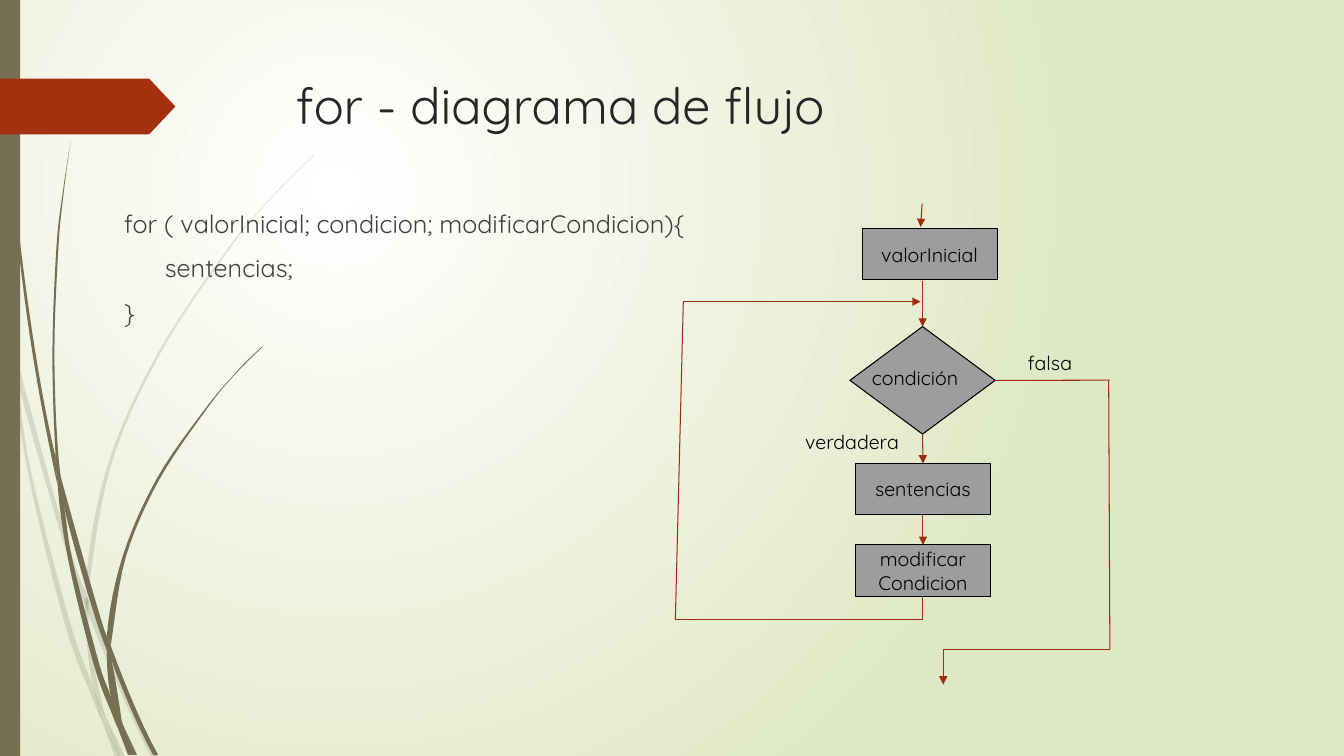
from dataclasses import dataclass

from lxml.etree import SubElement
from pptx import Presentation
from pptx.dml.color import RGBColor
from pptx.enum.shapes import MSO_CONNECTOR, MSO_SHAPE
from pptx.enum.text import MSO_ANCHOR, PP_ALIGN
from pptx.oxml.ns import qn
from pptx.util import Cm, Pt


@dataclass(frozen=True)
class Theme:
    font: str = "Quicksand"
    title_size: int = 36
    body_size: int = 18
    label_size: int = 14
    title: str = "262626"
    body: str = "404040"
    black: str = "000000"
    node: str = "9D9D9D"
    arrow: str = "9E2E0F"
    accent: str = "A53010"
    stem: str = "766F54"
    bg_inner: str = "FFFFFF"
    bg_outer: str = "DFE8C4"


T = Theme()
GRID = 0.0254  # cm per unit of the grass coordinates

# Each piece of grass: one edge, then the other edge on the way back
FAINT_GRASS = [
    ([(11, 350), (9, 322), (0, 282)], [(0, 299), (10, 344)]),
    ([(14, 345), (17, 376), (58, 522), (84, 599)], [(85, 586), (62, 520), (14, 345)]),
    ([(88, 596), (88, 610), (123, 694), (150, 751)], [(155, 751), (127, 692), (92, 607)]),
    ([(119, 751), (124, 751)], [(105, 711)]),
    ([(11, 350), (28, 470), (65, 621), (92, 693), (101, 714)],
     [(99, 707), (93, 683), (70, 619), (31, 469), (17, 376), (11, 350)]),
    ([(84, 599), (87, 646), (93, 683), (105, 711)], [(103, 706), (91, 646), (88, 608)]),
    ([(312, 153), (289, 175), (268, 197), (228, 244), (158, 348), (107, 461), (85, 584)],
     [(88, 596), (88, 584), (110, 462), (160, 349), (229, 245), (268, 198), (312, 154)]),
    ([(101, 714), (114, 751)], [(119, 751)]),
    ([(88, 608), (88, 596)], [(85, 586), (84, 599)]),
    ([(96, 692), (93, 683)], [(99, 707), (101, 714), (119, 751), (105, 711)]),
]
GRASS = [
    ([(3, 0), (4, 48), (7, 110), (17, 233), (33, 355), (57, 481)],
     [(55, 453), (36, 355), (19, 232), (8, 109), (5, 48), (4, 0)]),
    ([(60, 472), (64, 505), (88, 592), (106, 645)], [(106, 631), (93, 590), (60, 472)]),
    ([(110, 641), (111, 656), (132, 708), (152, 749)], [(157, 749), (136, 706), (113, 649)]),
    ([(57, 477), (68, 557), (93, 659), (111, 708), (117, 722)],
     [(116, 717), (110, 691), (98, 657), (72, 556), (64, 505), (57, 477)]),
    ([(70, 141), (62, 193), (56, 245), (52, 349), (55, 449), (60, 472)],
     [(58, 453), (54, 349), (58, 245), (63, 193), (70, 141)]),
    ([(133, 749), (136, 749)], [(122, 719)]),
    ([(55, 449), (57, 477), (64, 505)], [(60, 472)]),
    ([(260, 344), (245, 358), (231, 373), (204, 405), (156, 474), (122, 551), (106, 631)],
     [(110, 641), (111, 633), (125, 552), (158, 476), (205, 406), (231, 374), (261, 344)]),
    ([(117, 722), (127, 749)], [(131, 749)]),
    ([(106, 645), (110, 691), (122, 719)], [(121, 716), (111, 656), (106, 645)]),
    ([(106, 631), (106, 645), (111, 656)], [(110, 641)]),
    ([(110, 691), (117, 722), (130, 749)], [(133, 749), (122, 719), (116, 706)]),
]


def rgb(value):
    return RGBColor.from_string(value)


def extend(knots):
    """Point before the first knot that continues the curve."""
    weights = (3, -3, 1) if len(knots) > 2 else (2, -1)
    return tuple(sum(w * k[i] for w, k in zip(weights, knots)) for i in (0, 1))


def smooth_edge(knots, steps=6):
    """Catmull-Rom curve through the knots, as points in EMU."""
    points = [knots[0]]
    ends = [extend(knots), *knots, extend(knots[::-1])] if len(knots) > 1 else []
    for a, b, c, d in zip(ends, ends[1:], ends[2:], ends[3:]):
        for t in (i / steps for i in range(1, steps + 1)):
            points.append(tuple(
                (2 * q + (r - p) * t + (2 * p - 5 * q + 4 * r - s) * t ** 2
                 + (3 * q - p - 3 * r + s) * t ** 3) / 2
                for p, q, r, s in zip(a, b, c, d)))
    return [(Cm(x * GRID), Cm(y * GRID)) for x, y in points]


def paint(sp, fill, line=None):
    sp.shadow.inherit = False
    sp.fill.solid()
    sp.fill.fore_color.rgb = rgb(fill)
    if line:
        sp.line.color.rgb = rgb(line)
        sp.line.width = Pt(0.75)
    else:
        sp.line.fill.background()


def add_grass(s, pieces, alpha=100):
    for edge, back in pieces:
        start, *rest = smooth_edge(edge) + smooth_edge(back)
        builder = s.shapes.build_freeform(*start)
        builder.add_line_segments(rest, close=True)
        sp = builder.convert_to_shape()
        paint(sp, T.stem)
        color = sp.element.spPr.find(qn("a:solidFill"))[0]
        SubElement(color, qn("a:alpha"), val=str(alpha * 1000))


def add_panel(s, kind, x, y, w, h, fill, line=None):
    sp = s.shapes.add_shape(kind, Cm(x), Cm(y), Cm(w), Cm(h))
    paint(sp, fill, line)
    return sp


def write(tf, lines, size, color, align=PP_ALIGN.LEFT, indent=0, gap=0):
    tf.word_wrap = True
    for i, text in enumerate(lines):
        p = tf.paragraphs[0] if i == 0 else tf.add_paragraph()
        p.alignment = align
        if indent:
            p._p.get_or_add_pPr().set("marL", str(Cm(indent)))
        if i and gap:
            p.space_before = Pt(gap)
        r = p.add_run()
        r.text = text
        r.font.name = T.font
        r.font.size = Pt(size)
        r.font.color.rgb = rgb(color)


def add_text(s, lines, x, y, w, h, size, color, **layout):
    sp = s.shapes.add_textbox(Cm(x), Cm(y), Cm(w), Cm(h))
    write(sp.text_frame, lines, size, color, **layout)


def add_process(s, lines, x, y):
    sp = add_panel(s, MSO_SHAPE.FLOWCHART_PROCESS, x, y, 3.4, 1.29, T.node, T.black)
    sp.text_frame.vertical_anchor = MSO_ANCHOR.MIDDLE
    write(sp.text_frame, lines, T.label_size, T.black, align=PP_ALIGN.CENTER)
    return sp


def add_line(s, start, end, arrow=False):
    """Each end is an (x, y) point in cm or a (shape, side) pair."""
    joined = [not isinstance(stop[0], (int, float)) for stop in (start, end)]
    points = [Cm(v) for stop, join in zip((start, end), joined)
              for v in ((0, 0) if join else stop)]
    line = s.shapes.add_connector(MSO_CONNECTOR.STRAIGHT, *points)
    if joined[0]:
        line.begin_connect(*start)
    if joined[1]:
        line.end_connect(*end)
    line.line.color.rgb = rgb(T.arrow)
    line.line.width = Pt(0.75)
    if arrow:
        SubElement(line.line._get_or_add_ln(), qn("a:tailEnd"), type="triangle")
    SubElement(line.element.spPr, qn("a:effectLst"))


def add_background(s):
    fill = s.background.fill
    fill.gradient()
    for stop, color in zip(fill.gradient_stops, (T.bg_inner, T.bg_outer)):
        stop.color.rgb = rgb(color)
    grad = s.element.find(".//" + qn("a:gradFill"))
    grad.remove(grad.find(qn("a:lin")))
    circle = SubElement(grad, qn("a:path"), {"path": "circle"})
    SubElement(circle, qn("a:fillToRect"), l="50000", t="50000", r="100000", b="100000")


def add_flowchart(s):
    # Nodes and labels
    add_process(s, ["valorInicial"], 21.73, 5.76)
    condition = add_panel(s, MSO_SHAPE.FLOWCHART_DECISION, 21.42, 8.23, 3.66, 2.71,
                          T.node, T.black)
    body = add_process(s, ["sentencias"], 21.56, 11.68)
    update = add_process(s, ["modificar", "Condicion"], 21.56, 13.73)
    for text, x, y in (("condición", 21.72, 9.09), ("verdadera", 20.04, 10.72),
                       ("falsa", 25.65, 8.71)):
        add_text(s, [text], x, y, 4.11, 0.86, T.label_size, T.black)
    # Main path
    add_line(s, (23.24, 5.13), (23.2, 5.72), arrow=True)
    add_line(s, (23.25, 7.09), (condition, 0), arrow=True)
    add_line(s, (condition, 2), (body, 0), arrow=True)
    add_line(s, (body, 2), (update, 0), arrow=True)
    # Loop back to the condition
    add_line(s, (update, 2), (23.26, 15.6))
    add_line(s, (23.26, 15.6), (17.02, 15.6))
    add_line(s, (17.02, 15.6), (17.22, 7.6))
    add_line(s, (17.22, 7.6), (23.2, 7.6), arrow=True)
    # Exit when the condition is false
    add_line(s, (condition, 3), (27.97, 9.58))
    add_line(s, (27.94, 9.6), (27.97, 16.36))
    add_line(s, (27.97, 16.36), (23.77, 16.36))
    add_line(s, (23.77, 16.36), (23.77, 17.25), arrow=True)


def main():
    prs = Presentation()
    prs.slide_width, prs.slide_height = Cm(33.87), Cm(19.05)
    s = prs.slides.add_slide(prs.slide_layouts[6])
    add_background(s)
    add_grass(s, FAINT_GRASS, alpha=20)
    add_grass(s, GRASS)
    add_panel(s, MSO_SHAPE.RECTANGLE, 0, 0, 0.51, 19.05, T.stem)
    tab = add_panel(s, MSO_SHAPE.PENTAGON, 0, 1.98, 4.42, 1.41, T.accent)
    tab.adjustments[0] = 0.47
    add_text(s, ["for - diagrama de flujo"], 7.21, 1.74, 24.77, 3.56, T.title_size, T.title)
    add_text(s, ["for ( valorInicial; condicion; modificarCondicion){",
                 "      sentencias;", "}"], 1.8, 5.13, 27.94, 11.18,
             T.body_size, T.body, indent=1.07, gap=10)
    add_flowchart(s)
    prs.save("out.pptx")


if __name__ == "__main__":
    main()
